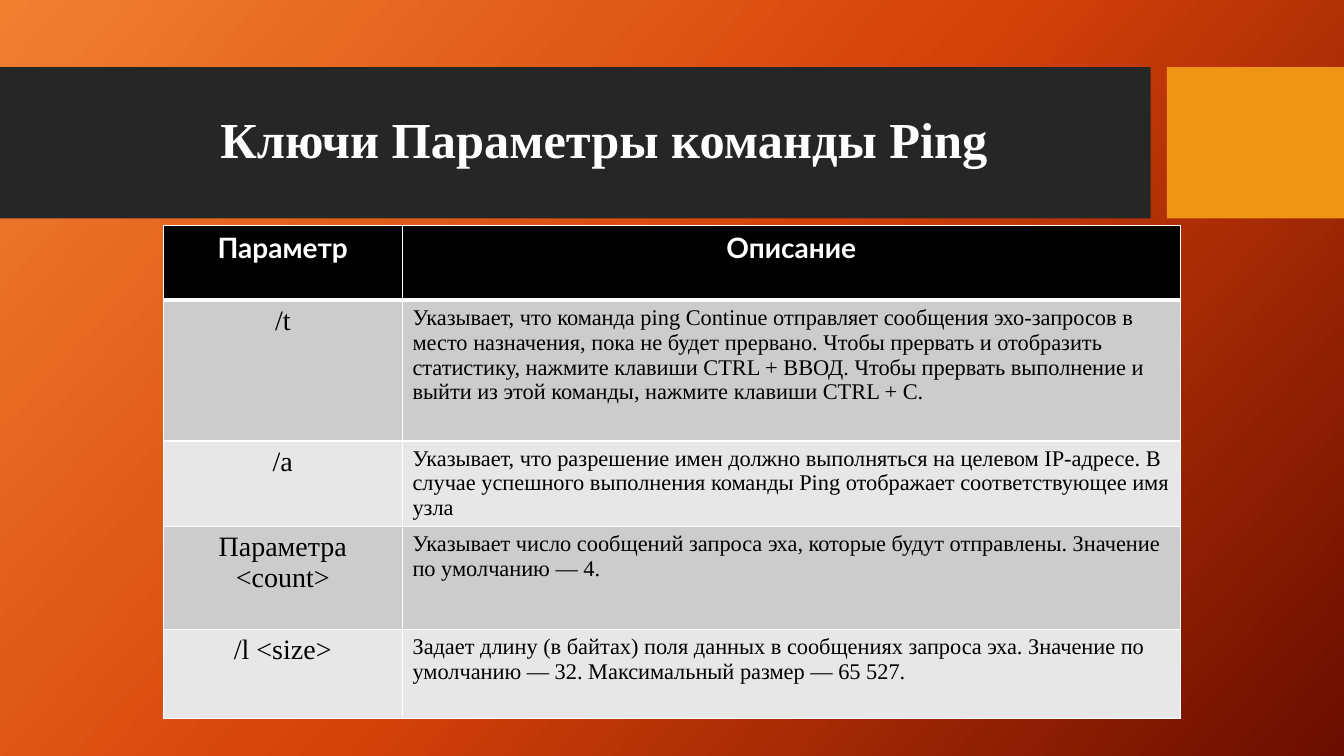
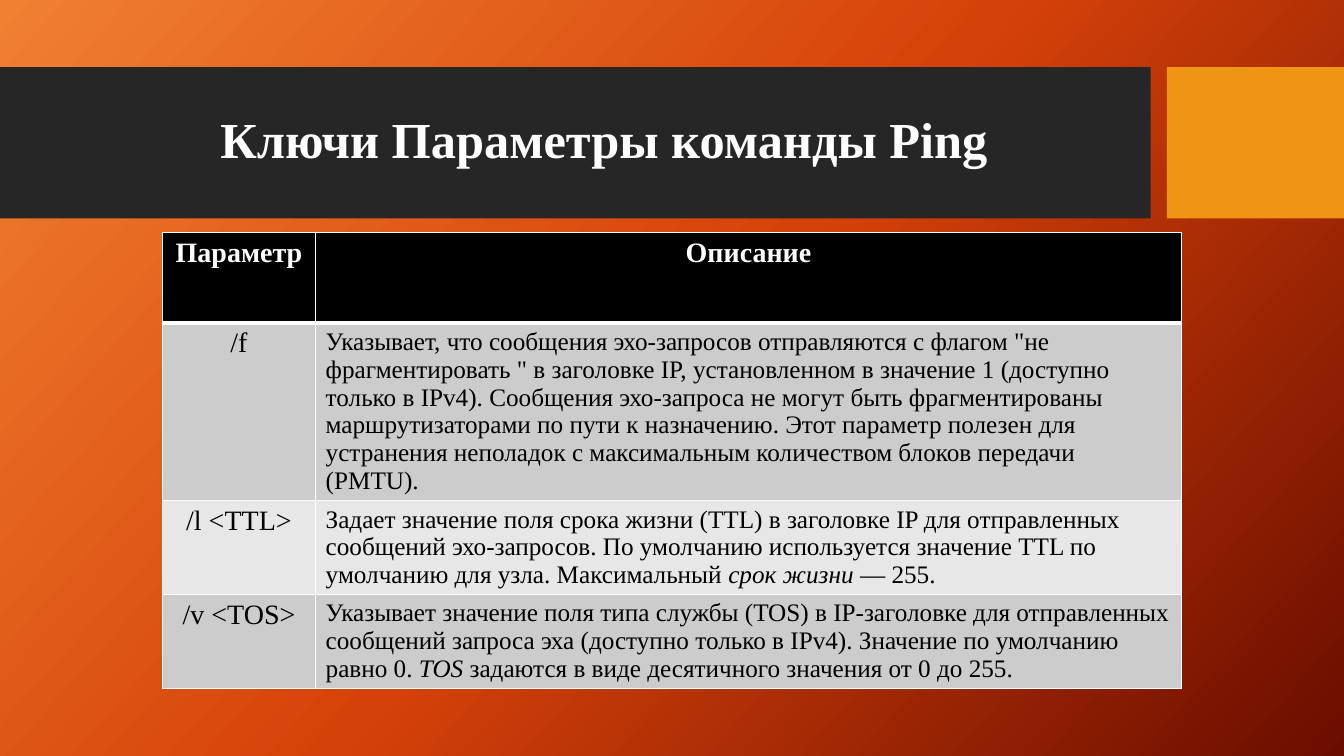
from copy import deepcopy

from lxml.etree import SubElement
from pptx import Presentation
from pptx.dml.color import RGBColor
from pptx.enum.shapes import MSO_SHAPE as Shape
from pptx.enum.text import MSO_ANCHOR as Anchor, PP_ALIGN as Align
from pptx.oxml.ns import qn
from pptx.util import Pt

WHITE = RGBColor(0xFF, 0xFF, 0xFF)
BLACK = RGBColor(0x00, 0x00, 0x00)
BAND = RGBColor(0x26, 0x26, 0x26)
ACCENT = RGBColor(0xF0, 0x94, 0x15)
ROW_DARK = RGBColor(0xCC, 0xCC, 0xCC)
ROW_LIGHT = RGBColor(0xE7, 0xE7, 0xE7)
BACKGROUND = [
    (0, RGBColor(0xF1, 0x80, 0x31)),
    (0.5, RGBColor(0xD5, 0x42, 0x09)),
    (1, RGBColor(0x6A, 0x0D, 0x00)),
]

SERIF = "Times New Roman"
SANS = "Lato"
SLIDE_WIDTH, SLIDE_HEIGHT = 960, 540
BAND_TOP, BAND_HEIGHT = 48, 108
TITLE = "Ключи Параметры команды Ping"
HEADER = ("Параметр", "Описание")

BASIC_KEYS = [
    ("/t", "Указывает, что команда ping Continue отправляет сообщения эхо-запросов в место "
           "назначения, пока не будет прервано. Чтобы прервать и отобразить статистику, "
           "нажмите клавиши CTRL + ВВОД. Чтобы прервать выполнение и выйти из этой команды, "
           "нажмите клавиши CTRL + C."),
    ("/a", "Указывает, что разрешение имен должно выполняться на целевом IP-адресе. В случае "
           "успешного выполнения команды Ping отображает соответствующее имя узла"),
    ("Параметра <count>", "Указывает число сообщений запроса эха, которые будут отправлены. "
                          "Значение по умолчанию — 4."),
    ("/l <size>", "Задает длину (в байтах) поля данных в сообщениях запроса эха. Значение "
                  "по умолчанию — 32. Максимальный размер — 65 527."),
]
# Asterisks enclose italic spans.
HEADER_KEYS = [
    ("/f", "Указывает, что сообщения эхо-запросов отправляются с флагом "
           "\"не фрагментировать \" в заголовке IP, установленном в значение 1 (доступно "
           "только в IPv4). Сообщения эхо-запроса не могут быть фрагментированы "
           "маршрутизаторами по пути к назначению. Этот параметр полезен для устранения "
           "неполадок с максимальным количеством блоков передачи (PMTU)."),
    ("/l <TTL>", "Задает значение поля срока жизни (TTL) в заголовке IP для отправленных "
                 "сообщений эхо-запросов. По умолчанию используется значение TTL по "
                 "умолчанию для узла. Максимальный *срок жизни* — 255."),
    ("/v <TOS>", "Указывает значение поля типа службы (TOS) в IP-заголовке для отправленных "
                 "сообщений запроса эха (доступно только в IPv4). Значение по умолчанию "
                 "равно 0. *TOS* задаются в виде десятичного значения от 0 до 255."),
]


def write_text(frame, text, size, font=SERIF, color=BLACK, bold=False,
               align=Align.LEFT, line_spacing=1.0):
    """Fill the first paragraph; text between asterisks becomes italic."""
    para = frame.paragraphs[0]
    para.alignment = align
    para.line_spacing = line_spacing
    for index, part in enumerate(text.split("*")):
        span = para.add_run()
        span.text = part
        span.font.name = font
        span.font.size = Pt(size)
        span.font.bold = bold
        span.font.italic = index % 2 == 1
        span.font.color.rgb = color


def paint_background(page):
    fill = page.background.fill
    fill.gradient()
    fill.gradient_angle = 360 - 42
    stop_list = page.element.find(".//" + qn("a:gsLst"))
    stop_list.append(deepcopy(stop_list[-1]))
    for stop, (position, color) in zip(fill.gradient_stops, BACKGROUND):
        stop.position = position
        stop.color.rgb = color


def add_band(page, layout, left, width, color):
    """Draw a title band and move it to the back of the shared layout."""
    band = page.shapes.add_shape(Shape.RECTANGLE, Pt(left), Pt(BAND_TOP),
                                 Pt(width), Pt(BAND_HEIGHT))
    band.shadow.inherit = False
    band.fill.solid()
    band.fill.fore_color.rgb = color
    band.line.fill.background()
    layout.shapes.element.insert(2, band.element)


def style_layout(layout, page):
    paint_background(layout)
    add_band(page, layout, 0, 822, BAND)
    add_band(page, layout, 833.5, SLIDE_WIDTH - 833.5, ACCENT)
    title = layout.placeholders[0]
    title.left, title.top, title.width, title.height = Pt(53), Pt(59), Pt(757), Pt(85)


def add_title(page):
    frame = page.shapes.title.text_frame
    frame.vertical_anchor = Anchor.MIDDLE
    write_text(frame, TITLE, 36, color=WHITE, bold=True, align=Align.CENTER,
               line_spacing=0.9)


def set_borders(cell, **widths):
    """Draw white cell borders with the given widths by side (L, R, T, B)."""
    properties = cell._tc.get_or_add_tcPr()
    for side, width in widths.items():
        line = SubElement(properties, qn(f"a:ln{side}"), w=str(Pt(width)))
        fill = SubElement(line, qn("a:solidFill"))
        SubElement(fill, qn("a:srgbClr"), val=str(WHITE))


def add_key_table(page, rows, left, top, widths, heights, text_size, header_font):
    frame = page.shapes.add_table(len(heights), len(widths), Pt(left), Pt(top),
                                  Pt(sum(widths)), Pt(sum(heights)))
    table = frame.table
    for column, width in zip(table.columns, widths):
        column.width = Pt(width)
    for row, height in zip(table.rows, heights):
        row.height = Pt(height)
    for row_index, texts in enumerate([HEADER, *rows]):
        is_header = row_index == 0
        if is_header:
            color = BLACK
        else:
            color = ROW_DARK if row_index % 2 else ROW_LIGHT
        for column_index, text in enumerate(texts):
            cell = table.cell(row_index, column_index)
            set_borders(cell, L=1, R=1, T=3 if row_index == 1 else 1,
                        B=3 if is_header else 1)
            cell.fill.solid()
            cell.fill.fore_color.rgb = color
            is_label = is_header or column_index == 0
            write_text(cell.text_frame, text,
                       size=20 if is_label else text_size,
                       font=header_font if is_header else SERIF,
                       color=WHITE if is_header else BLACK,
                       bold=is_header,
                       align=Align.CENTER if is_label else Align.LEFT)


def main():
    deck = Presentation()
    deck.slide_width, deck.slide_height = Pt(SLIDE_WIDTH), Pt(SLIDE_HEIGHT)
    layout = deck.slide_layouts.get_by_name("Title Only")
    basic_page, header_page = [deck.slides.add_slide(layout) for _ in range(2)]
    style_layout(layout, basic_page)
    for page in (basic_page, header_page):
        add_title(page)
    add_key_table(basic_page, BASIC_KEYS, left=116.5, top=161, widths=(171, 555.5),
                  heights=(53.5, 100.5, 61, 73.5, 63.5), text_size=16, header_font=SANS)
    add_key_table(header_page, HEADER_KEYS, left=116, top=166, widths=(109.5, 618.5),
                  heights=(64.5, 127, 67, 67), text_size=18, header_font=SERIF)
    deck.save("out.pptx")


if __name__ == "__main__":
    main()
